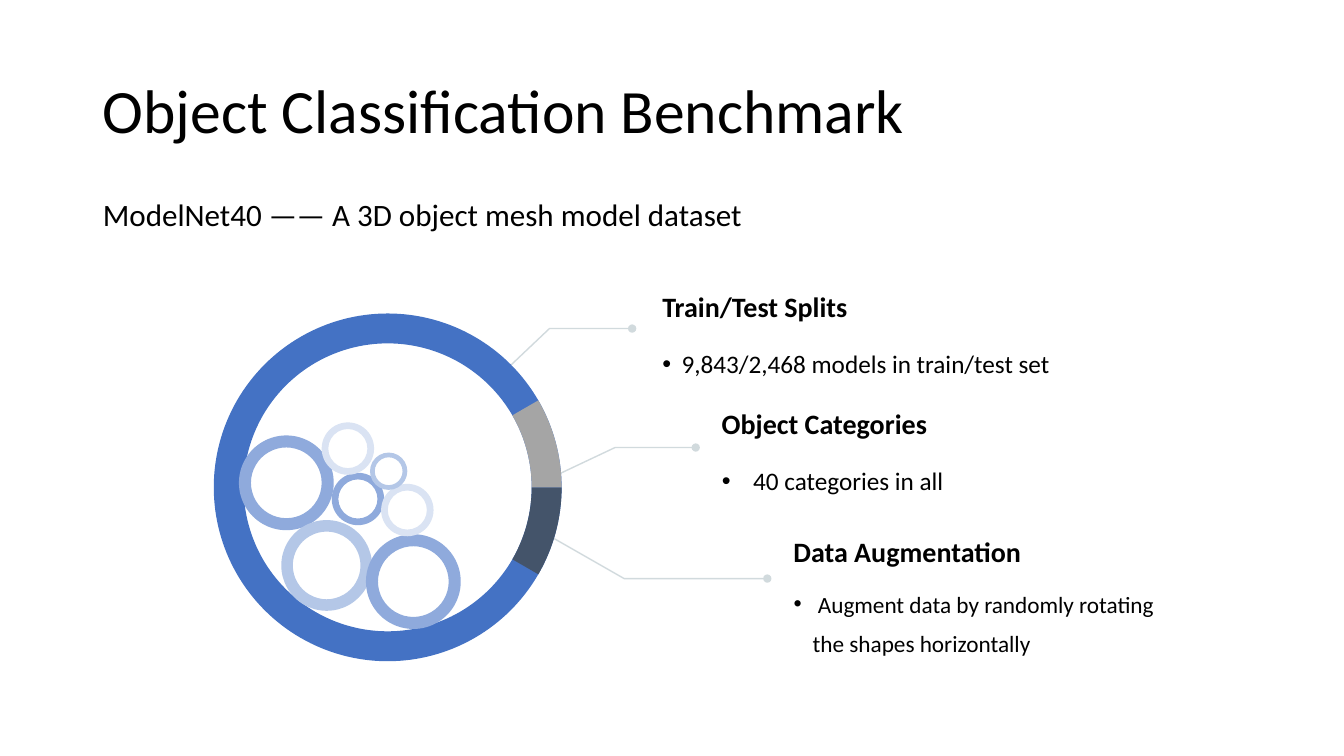
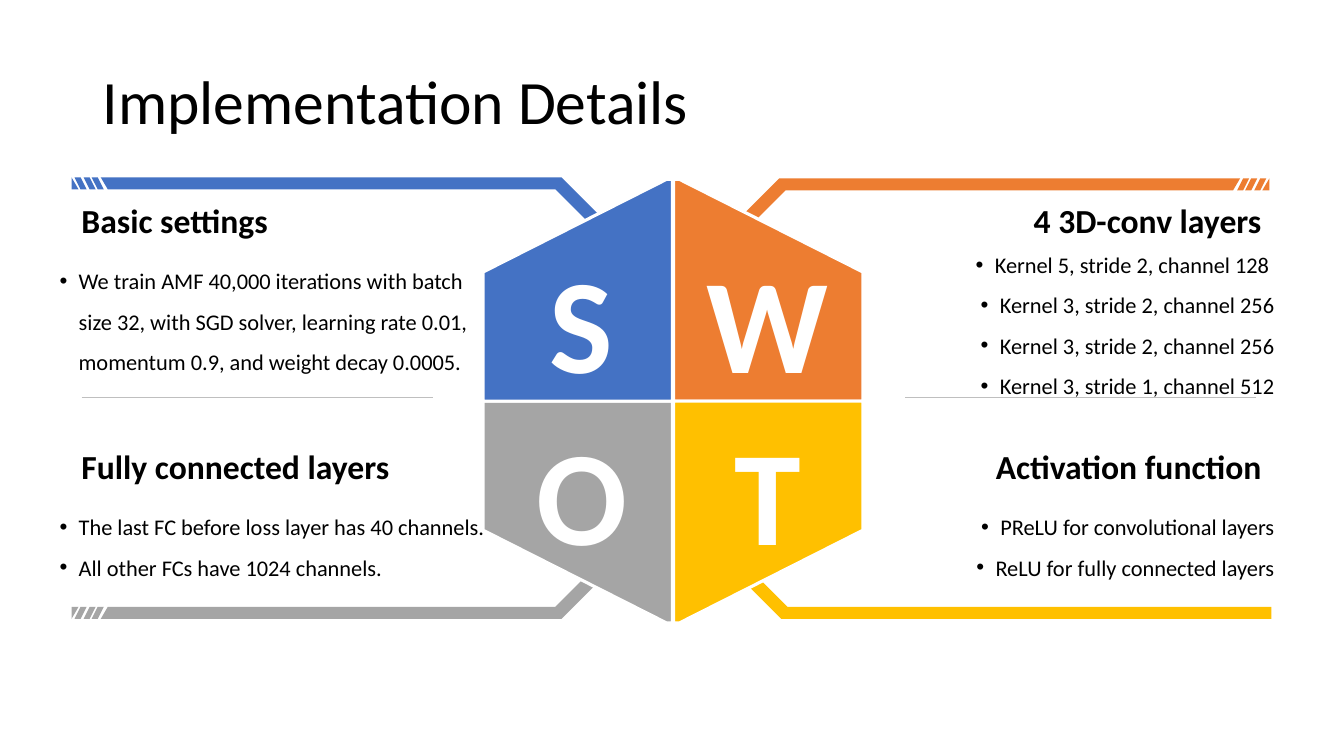
"""Build two slides: an object classification benchmark and its implementation details."""
from dataclasses import dataclass

from lxml.etree import SubElement
from pptx import Presentation
from pptx.dml.color import RGBColor
from pptx.enum.shapes import MSO_CONNECTOR, MSO_SHAPE
from pptx.enum.text import MSO_ANCHOR as Anchor, MSO_AUTO_SIZE, PP_ALIGN as Align
from pptx.oxml.ns import qn
from pptx.util import Inches, Pt


@dataclass(frozen=True)
class Theme:
    font: str = "Calibri"
    ink: str = "000000"
    white: str = "FFFFFF"
    blue: str = "4472C4"
    orange: str = "ED7D31"
    gray: str = "A5A5A5"
    gold: str = "FFC000"
    slate: str = "44546A"
    blue_mid: str = "8FAADC"
    blue_soft: str = "B4C7E7"
    blue_pale: str = "DAE3F3"
    leader: str = "D1DADD"
    rule: str = "BFBFBF"
    title: float = 44
    tagline: float = 22.2
    topic: float = 20
    fact: float = 18
    long_fact: float = 16.6
    section: float = 24
    detail: float = 16
    letter: float = 96


THEME = Theme()
COMPARISON_LAYOUT = 4

TAGLINE = "ModelNet40 —— A 3D object mesh model dataset"
TOPICS = [
    dict(heading="Train/Test Splits", fact="9,843/2,468 models in train/test set",
         at=(6.47, 2.86), size=THEME.fact, spacing=1.5, indent=0.19, width=4.28,
         leader=[(5.07, 3.62), (5.45, 3.26), (6.27, 3.26)]),
    dict(heading="Object Categories", fact="40 categories in all",
         at=(7.06, 4.02), size=THEME.fact, spacing=1.5, indent=0.31, width=4.28,
         leader=[(5.55, 4.7), (6.1, 4.44), (6.9, 4.44)]),
    dict(heading="Data Augmentation",
         fact=" Augment data by randomly rotating the shapes horizontally",
         at=(7.77, 5.29), size=THEME.long_fact, spacing=1.4, indent=0.19, width=4.06,
         leader=[(5.49, 5.34), (6.19, 5.74), (7.61, 5.74)]),
]
RING = (2.12, 3.11, 3.45, 3.45)
RING_THICKNESS = 0.086
RING_SEGMENTS = [(0, 30, THEME.slate), (330, 0, THEME.gray)]
BUBBLES = [
    (2.37, 4.32, 0.94, THEME.blue_mid),
    (2.79, 5.16, 0.9, THEME.blue_soft),
    (3.63, 5.3, 0.94, THEME.blue_mid),
    (3.29, 4.69, 0.52, THEME.blue_mid),
    (3.78, 4.8, 0.52, THEME.blue_pale),
    (3.67, 4.49, 0.37, THEME.blue_soft),
    (3.19, 4.19, 0.52, THEME.blue_pale),
]

QUADRANTS = [
    dict(letter="O", color=THEME.gray, side=-1, level=1, corner=(0.71, 6.14), striped=True,
         heading="Fully connected layers",
         details=["The last FC before loss layer has 40 channels.",
                  "All other FCs have 1024 channels."]),
    dict(letter="W", color=THEME.orange, side=1, level=-1, corner=(12.59, 1.77), striped=True,
         heading="4 3D-conv layers",
         details=["Kernel 5, stride 2, channel 128 ",
                  "Kernel 3, stride 2, channel 256",
                  "Kernel 3, stride 2, channel 256",
                  "Kernel 3, stride 1, channel 512"]),
    dict(letter="T", color=THEME.gold, side=1, level=1, corner=(12.61, 6.14), striped=False,
         heading="Activation function",
         details=["PReLU for convolutional layers", "ReLU for fully connected layers"]),
    dict(letter="S", color=THEME.blue, side=-1, level=-1, corner=(0.71, 1.76), striped=True,
         heading="Basic settings",
         details=["We train AMF 40,000 iterations with batch size 32, with SGD solver, "
                  "learning rate 0.01, momentum 0.9, and weight decay 0.0005."]),
]
BAND_DEPTH = 0.12
BAND_ELBOW = [(4.86, 0), (5.96, 1.1), (5.96, 2.2), (5.85, 2.2), (5.85, 1.17), (4.8, BAND_DEPTH)]
STRIPE_STARTS = [0.03, 0.12, 0.2]
HEX_QUARTER = [(0, 0), (1.88, 0), (1.88, 1.28), (0.06, 2.2), (0, 2.2)]
HEX_MIDDLE = 3.98
HEX_INNER = {-1: 6.67, 1: 6.68}
LETTER_LEFT = {-1: 4.78, 1: 6.62}
LETTER_TOP = {-1: 2.27, 1: 3.98}
HEADING_LEFT = {-1: 0.71, 1: 8.56}
HEADING_TOP = {-1: 1.9, 1: 4.34}
DETAILS_LEFT = {-1: 0.49, 1: 8.19}
DETAILS_TOP = {-1: 2.47, 1: 4.91}
KERNELS_TOP = 2.31
DIVIDER_LEFTS = [0.81, 8.98]
DIVIDER_LENGTH = 3.48
DIVIDER_TOP = 3.94


def rgb(color):
    return RGBColor.from_string(color)


def set_bullet(paragraph, indent):
    properties = paragraph._p.get_or_add_pPr()
    properties.set("marL", str(Inches(indent)))
    properties.set("indent", str(-Inches(indent)))
    if indent:
        SubElement(properties, qn("a:buFont")).set("typeface", "Arial")
        SubElement(properties, qn("a:buChar")).set("char", "•")
    else:
        SubElement(properties, qn("a:buNone"))


def write(slide, lines, box, size, holder=None, color=THEME.ink, bold=False,
          align=Align.LEFT, anchor=Anchor.TOP, spacing=1.0, indent=0, margin_top=0.05):
    left, top, width, height = map(Inches, box)
    if holder is None:
        holder = slide.shapes.add_textbox(left, top, width, height)
    else:
        holder.left, holder.top, holder.width, holder.height = left, top, width, height
        holder.element.getparent().append(holder.element)
    frame = holder.text_frame
    frame.text = "\n".join(lines)
    frame.word_wrap = True
    frame.auto_size = MSO_AUTO_SIZE.NONE
    frame.vertical_anchor = anchor
    frame.margin_top = Inches(margin_top)
    for paragraph in frame.paragraphs:
        set_bullet(paragraph, indent)
        paragraph.alignment = align
        paragraph.line_spacing = spacing
        paragraph.space_before = Pt(0)
        font = paragraph.font
        font.name, font.size, font.bold = THEME.font, Pt(size), bold
        font.color.rgb = rgb(color)


def paint(shape, fill=None, line=None, weight=1):
    shape.shadow.inherit = False
    if fill:
        shape.fill.solid()
        shape.fill.fore_color.rgb = rgb(fill)
    else:
        shape.fill.background()
    if line:
        shape.line.color.rgb = rgb(line)
        shape.line.width = Pt(weight)
    else:
        shape.line.fill.background()
    return shape


def draw_outline(slide, contours, close=True):
    contours = [[(Inches(x), Inches(y)) for x, y in contour] for contour in contours]
    builder = slide.shapes.build_freeform(*contours[0][0])
    for number, (start, *rest) in enumerate(contours):
        if number:
            builder.move_to(*start)
        builder.add_line_segments(rest, close=close)
    return builder.convert_to_shape()


def draw_round(slide, kind, box, adjustments, color):
    shape = slide.shapes.add_shape(kind, *map(Inches, box))
    for number, value in enumerate(adjustments):
        shape.adjustments[number] = value
    paint(shape, color)


def place(points, origin, side, level):
    return [(origin[0] + side * x, origin[1] + level * y) for x, y in points]


def start_slide(deck, title, top):
    slide = deck.slides.add_slide(deck.slide_layouts[COMPARISON_LAYOUT])
    heading, *bodies = slide.placeholders
    write(slide, [title], (0.92, top, 11.5, 1.45), THEME.title, heading,
          anchor=Anchor.MIDDLE, spacing=0.9)
    return slide, bodies


def build_benchmark(deck):
    slide, (tagline, *facts) = start_slide(deck, "Object Classification Benchmark", 0.4)
    for topic in TOPICS:
        leader = paint(draw_outline(slide, [topic["leader"]], close=False), line=THEME.leader)
        SubElement(leader.line._get_or_add_ln(), qn("a:tailEnd")).set("type", "oval")
    draw_round(slide, MSO_SHAPE.DONUT, RING, [RING_THICKNESS], THEME.blue)
    for start, end, color in RING_SEGMENTS:
        draw_round(slide, MSO_SHAPE.BLOCK_ARC, RING,
                   [start * 0.6, end * 0.6, RING_THICKNESS], color)
    for left, top, diameter, color in BUBBLES:
        draw_round(slide, MSO_SHAPE.DONUT, (left, top, diameter, diameter), [0.127], color)
    write(slide, [TAGLINE], (0.92, 1.7, 6.69, 1.17), THEME.tagline, tagline, spacing=1.5)
    for topic, holder in zip(TOPICS, facts):
        left, top = topic["at"]
        write(slide, [topic["heading"]], (left, top, 4.28, 0.4), THEME.topic,
              bold=True, anchor=Anchor.BOTTOM)
        write(slide, [topic["fact"]], (left, top + 0.4, topic["width"], 0.86), topic["size"],
              holder, spacing=topic["spacing"], indent=topic["indent"])


def draw_band(slide, part):
    striped = part["striped"]
    contours = [[(0.29 if striped else 0, 0), *BAND_ELBOW,
                 (0.36 if striped else 0, BAND_DEPTH)]]
    if striped:
        contours += [[(x, 0), (x + 0.06, 0), (x + 0.12, BAND_DEPTH), (x + 0.06, BAND_DEPTH)]
                     for x in STRIPE_STARTS]
        contours.append([(0, 0), (0.07, BAND_DEPTH), (0, BAND_DEPTH)])
    placed = [place(points, part["corner"], -part["side"], -part["level"])
              for points in contours]
    paint(draw_outline(slide, placed), part["color"])


def build_details(deck):
    slide, bodies = start_slide(deck, "Implementation Details", 0.31)
    for part in QUADRANTS:
        draw_band(slide, part)
    for part in QUADRANTS:
        side, level = part["side"], part["level"]
        quarter = place(HEX_QUARTER, (HEX_INNER[side], HEX_MIDDLE), side, level)
        paint(draw_outline(slide, [quarter]), part["color"], THEME.white, 2.25)
    for part, holder in zip(QUADRANTS, bodies):
        side, level = part["side"], part["level"]
        align = Align.LEFT if side < 0 else Align.RIGHT
        write(slide, [part["letter"]], (LETTER_LEFT[side], LETTER_TOP[level], 1.98, 1.93),
              THEME.letter, color=THEME.white, bold=True, align=Align.CENTER, margin_top=0.1)
        write(slide, [part["heading"]], (HEADING_LEFT[side], HEADING_TOP[level], 4.05, 0.57),
              THEME.section, bold=True, align=align, anchor=Anchor.MIDDLE)
        top = KERNELS_TOP if len(part["details"]) > 2 else DETAILS_TOP[level]
        write(slide, part["details"], (DETAILS_LEFT[side], top, 4.55, 1.5), THEME.detail,
              holder, align=align, spacing=1.5, indent=0.19)
    for left in DIVIDER_LEFTS:
        divider = slide.shapes.add_connector(
            MSO_CONNECTOR.STRAIGHT, Inches(left), Inches(DIVIDER_TOP),
            Inches(left + DIVIDER_LENGTH), Inches(DIVIDER_TOP))
        divider.line.color.rgb = rgb(THEME.rule)
        divider.line.width = Pt(0.25)
        SubElement(divider.element.spPr, qn("a:effectLst"))


def main():
    deck = Presentation()
    deck.slide_width, deck.slide_height = Inches(13.33), Inches(7.5)
    build_benchmark(deck)
    build_details(deck)
    deck.save("out.pptx")


if __name__ == "__main__":
    main()
